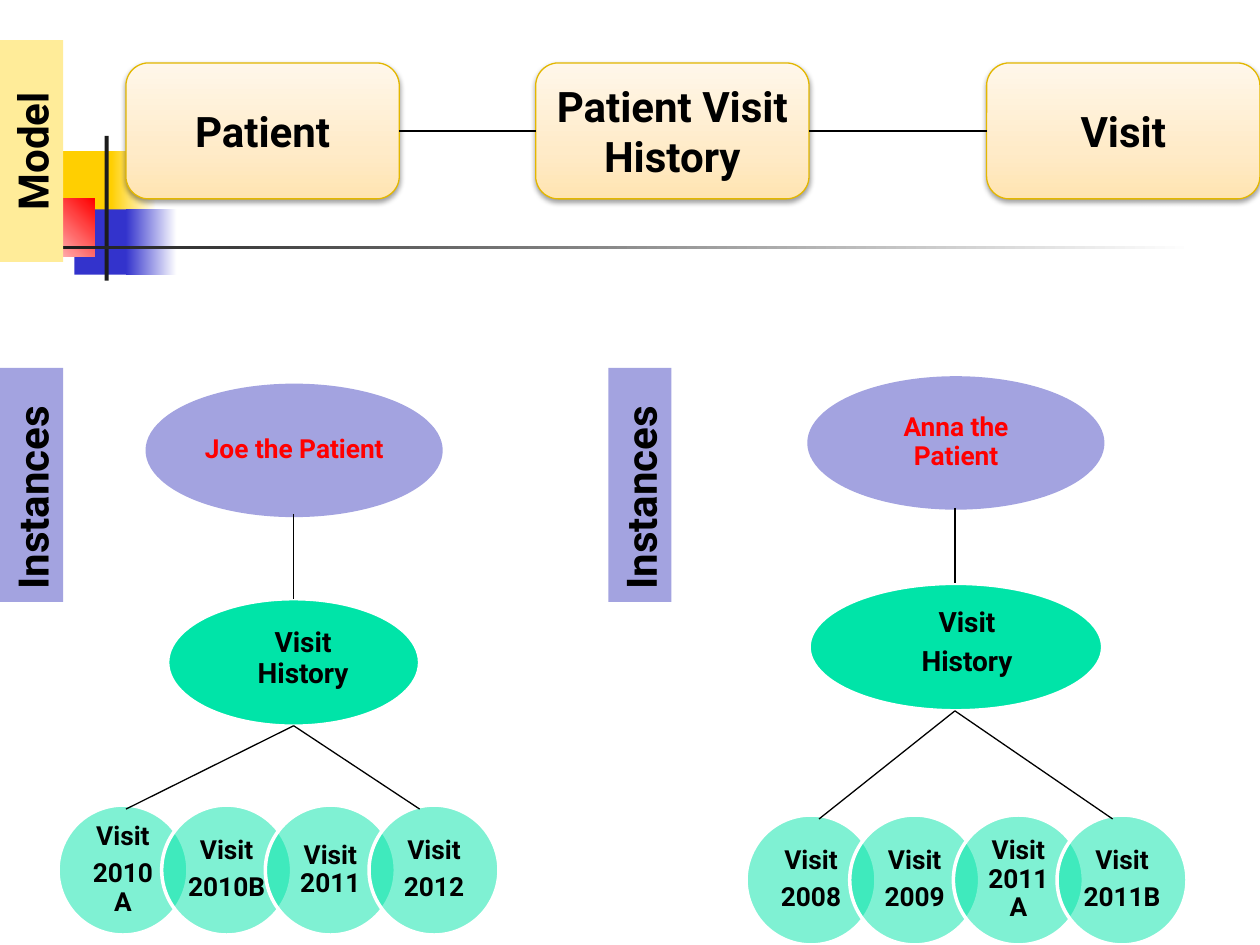
from pptx import Presentation
from pptx.dml.color import RGBColor
from pptx.enum.shapes import MSO_CONNECTOR, MSO_SHAPE
from pptx.enum.text import MSO_ANCHOR, PP_ALIGN
from pptx.oxml import parse_xml
from pptx.oxml.ns import nsdecls, qn
from pptx.util import Cm, Pt

BLACK = RGBColor(0x00, 0x00, 0x00)
WHITE = RGBColor(0xFF, 0xFF, 0xFF)
RED = RGBColor(0xFF, 0x00, 0x00)
YELLOW = RGBColor(0xFF, 0xCF, 0x01)
BLUE = RGBColor(0x33, 0x33, 0xCC)
CHARCOAL = RGBColor(0x1C, 0x1C, 0x1C)
GREEN = RGBColor(0x00, 0xE4, 0xA8)
LILAC = RGBColor(0xA3, 0xA3, 0xE0)
PALE_YELLOW = RGBColor(0xFF, 0xEC, 0x99)
GOLD = RGBColor(0xE3, 0xB7, 0x00)
CREAM = [(0, RGBColor(0xFF, 0xE4, 0xB1)), (35, RGBColor(0xFF, 0xEB, 0xC8)),
         (100, RGBColor(0xFF, 0xF7, 0xEA))]

MODEL_FONT = {"name": "Roboto", "size": Pt(24), "bold": True}
HISTORY_FONT = {"name": "Roboto", "size": Pt(16), "bold": True}
SMALL_FONT = {"name": "Roboto", "size": Pt(15), "bold": True}
INSTANCE_PARA = {"alignment": PP_ALIGN.CENTER, "line_spacing": 0.9, "space_after": Pt(5)}


def set_attrs(obj, values):
    for name, value in values.items():
        setattr(obj, name, value)


def add_shape(shapes, kind, box, fill=None, line=None, width=0.75):
    sp = shapes.add_shape(kind, *[Cm(v) for v in box])
    sp.shadow.inherit = False
    if fill is not None:
        sp.fill.solid()
        sp.fill.fore_color.rgb = fill
    if line is None:
        sp.line.fill.background()
    else:
        sp.line.color.rgb = line
        sp.line.width = Pt(width)
    return sp


def set_gradient(sp, stops, angle):
    """Linear gradient, angle in degrees clockwise."""
    gs = "".join(f'<a:gs pos="{pos * 1000}"><a:srgbClr val="{color}"/></a:gs>'
                 for pos, color in stops)
    sp._element.spPr.find(qn("a:prstGeom")).addnext(parse_xml(
        f'<a:gradFill {nsdecls("a")} rotWithShape="1"><a:gsLst>{gs}</a:gsLst>'
        f'<a:lin ang="{angle * 60000}" scaled="0"/></a:gradFill>'))


def set_transparency(sp, alpha):
    color = sp._element.spPr.find(qn("a:solidFill"))[0]
    color.append(parse_xml(f'<a:alpha {nsdecls("a")} val="{alpha * 1000}"/>'))


def add_soft_shadow(sp):
    sp._element.spPr.find(qn("a:effectLst")).append(parse_xml(
        f'<a:outerShdw {nsdecls("a")} blurRad="40000" dist="20000" dir="5400000" '
        'rotWithShape="0"><a:srgbClr val="000000"><a:alpha val="38000"/>'
        '</a:srgbClr></a:outerShdw>'))


def write_text(sp, lines, font, para, color=BLACK, anchor=MSO_ANCHOR.MIDDLE,
               wrap=True, insets=(0.25, 0.13)):
    tf = sp.text_frame
    side, edge = (Cm(v) for v in insets)
    set_attrs(tf, {"word_wrap": wrap, "vertical_anchor": anchor,
                   "margin_left": side, "margin_right": side,
                   "margin_top": edge, "margin_bottom": edge})
    for i, line in enumerate(lines):
        p = tf.add_paragraph() if i else tf.paragraphs[0]
        set_attrs(p, para)
        r = p.add_run()
        r.text = line
        set_attrs(r.font, font)
        r.font.color.rgb = color


def add_line(shapes, start, end):
    line = shapes.add_connector(MSO_CONNECTOR.STRAIGHT, *[Cm(v) for v in (*start, *end)])
    line.line.color.rgb = BLACK
    line.line.width = Pt(0.75)
    line._element.spPr.append(parse_xml(f'<a:effectLst {nsdecls("a")}/>'))
    return line


def add_decoration(shapes):
    fades = [
        ((1.17, 3.05, 1.22, 1.32), YELLOW, None, 0),
        ((2.24, 3.05, 0.91, 1.32), YELLOW, WHITE, 0),
        ((1.5, 4.22, 1.17, 1.32), BLUE, None, 0),
        ((2.54, 4.22, 1.02, 1.32), BLUE, WHITE, 0),
        ((0.36, 4.01, 1.55, 1.17), WHITE, RED, 315),
        ((2.11, 2.74, 0.08, 2.92), CHARCOAL, None, 0),
        ((1.22, 4.95, 22.86, 0.08), CHARCOAL, WHITE, 0),
    ]
    for box, start, end, angle in fades:
        if end is None:
            add_shape(shapes, MSO_SHAPE.RECTANGLE, box, start)
        else:
            sp = add_shape(shapes, MSO_SHAPE.RECTANGLE, box)
            set_gradient(sp, [(0, start), (100, end)], angle)


def add_model_box(shapes, left, lines):
    sp = add_shape(shapes, MSO_SHAPE.ROUNDED_RECTANGLE, (left, 1.27, 5.51, 2.74), line=GOLD)
    set_gradient(sp, CREAM, 270)
    add_soft_shadow(sp)
    write_text(sp, lines, MODEL_FONT, {"alignment": PP_ALIGN.CENTER}, wrap=False)
    return sp


def add_side_label(shapes, text, center, length, fill, align):
    x, y = center
    sp = add_shape(shapes, MSO_SHAPE.RECTANGLE,
                   (x - length / 2, y - 0.64, length, 1.27), fill)
    sp.rotation = 270
    write_text(sp, [text], MODEL_FONT, {"alignment": align}, anchor=MSO_ANCHOR.TOP)


def add_patient(shapes, left, top, name):
    group = shapes.add_group_shape().shapes
    add_shape(group, MSO_SHAPE.OVAL, (left, top, 5.92, 2.62), LILAC, LILAC, 2)
    label = add_shape(group, MSO_SHAPE.RECTANGLE,
                      (left + 0.87, top + 0.38, 4.19, 1.85), LILAC, LILAC)
    write_text(label, [name], SMALL_FONT, INSTANCE_PARA, RED, insets=(0.15, 0.05))


def add_history(shapes, box, label_box, lines):
    group = shapes.add_group_shape().shapes
    add_shape(group, MSO_SHAPE.OVAL, box, GREEN, WHITE, 2)
    label = group.add_textbox(*[Cm(v) for v in label_box])
    write_text(label, lines, HISTORY_FONT, INSTANCE_PARA, insets=(0.33, 0.15))


def add_visits(shapes, left, top, visits):
    group = shapes.add_group_shape().shapes
    for i, lines in enumerate(visits):
        x = left + i * 2.09
        circle = add_shape(group, MSO_SHAPE.OVAL, (x, top, 2.62, 2.62), GREEN, WHITE, 2)
        set_transparency(circle, 50)
        label = group.add_textbox(Cm(x + 0.39), Cm(top + 0.38), Cm(1.84), Cm(1.85))
        write_text(label, lines, SMALL_FONT, INSTANCE_PARA, insets=(0.14, 0.05))


def main():
    prs = Presentation()
    prs.slide_width, prs.slide_height = Cm(25.4), Cm(19.05)
    shapes = prs.slides.add_slide(prs.slide_layouts[6]).shapes
    add_decoration(shapes)

    # Instances: patients, their histories and visits
    add_visits(shapes, 15.04, 16.43, [["Visit", "2008"], ["Visit", "2009"],
                                      ["Visit 2011A"], ["Visit", "2011B"]])
    add_history(shapes, (16.31, 11.76, 5.92, 2.57), (17.4, 12.04, 4.19, 1.83),
                ["Visit", "History"])
    add_visits(shapes, 1.17, 16.23, [["Visit", "2010A"], ["Visit", "2010B"],
                                     ["Visit 2011"], ["Visit", "2012"]])
    add_history(shapes, (3.38, 12.07, 5.08, 2.57), (4.32, 12.37, 3.58, 1.83),
                ["Visit History"])
    add_patient(shapes, 2.97, 7.77, "Joe the Patient")
    add_patient(shapes, 16.31, 7.62, "Anna the Patient")

    # Model row
    boxes = [add_model_box(shapes, left, lines) for left, lines in (
        (2.54, ["Patient"]), (10.8, ["Patient Visit", "History"]), (19.89, ["Visit"]))]
    for first, second in zip(boxes, boxes[1:]):
        link = add_line(shapes, (0, 0), (0, 0))
        link.begin_connect(first, 3)
        link.end_connect(second, 1)

    # Side labels
    add_side_label(shapes, "Model", (0.64, 3.05), 4.47, PALE_YELLOW, PP_ALIGN.CENTER)
    for x in (0.64, 12.9):
        add_side_label(shapes, "Instances", (x, 9.78), 4.72, LILAC, PP_ALIGN.LEFT)

    # Instance tree lines
    for start, end in (
            ((5.92, 10.36), (5.92, 12.07)), ((19.25, 10.24), (19.25, 11.76)),
            ((5.92, 14.63), (2.54, 16.31)), ((5.92, 14.63), (8.46, 16.31)),
            ((19.25, 14.33), (16.51, 16.51)), ((19.25, 14.33), (22.43, 16.51))):
        add_line(shapes, start, end)

    prs.save("out.pptx")


if __name__ == "__main__":
    main()
